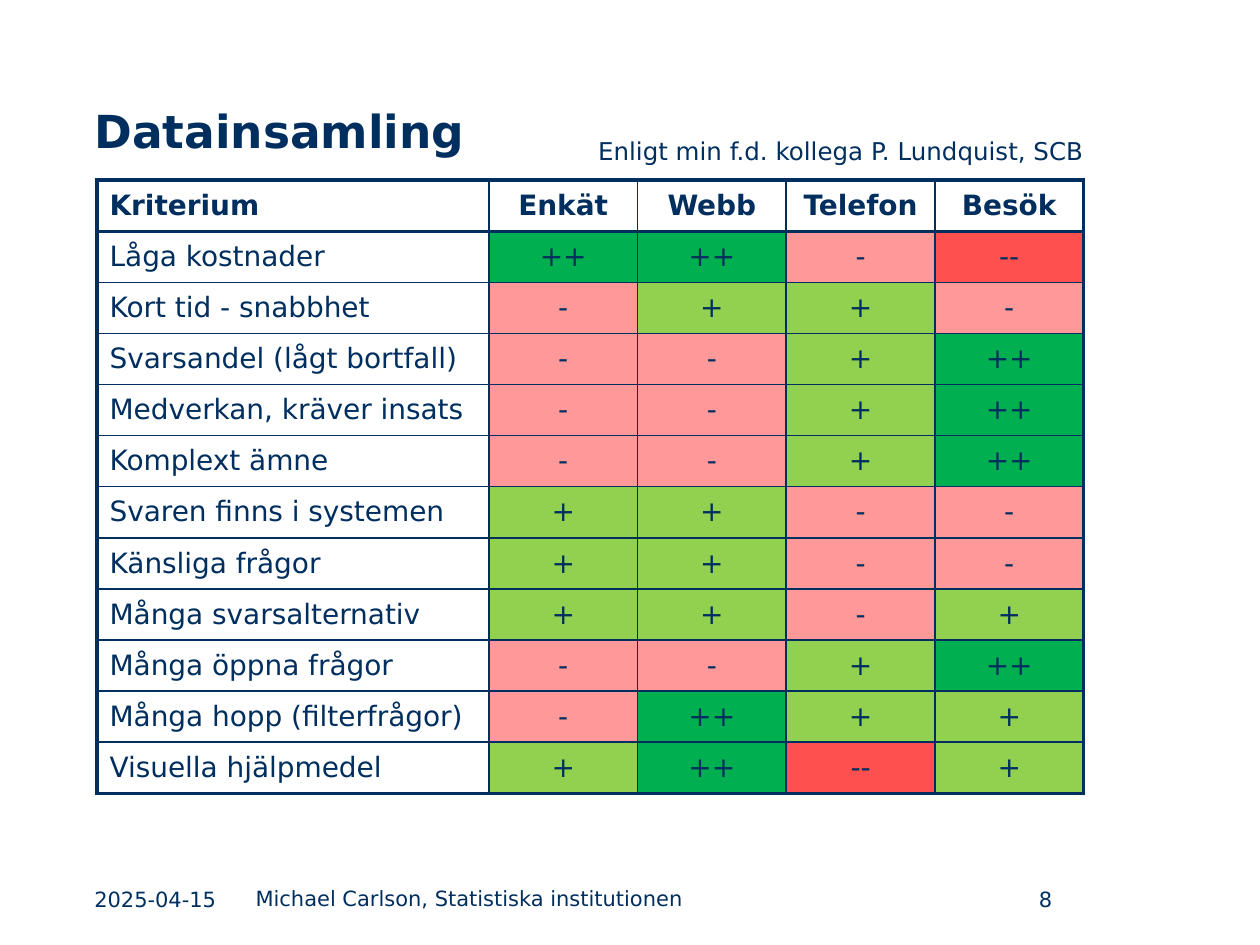
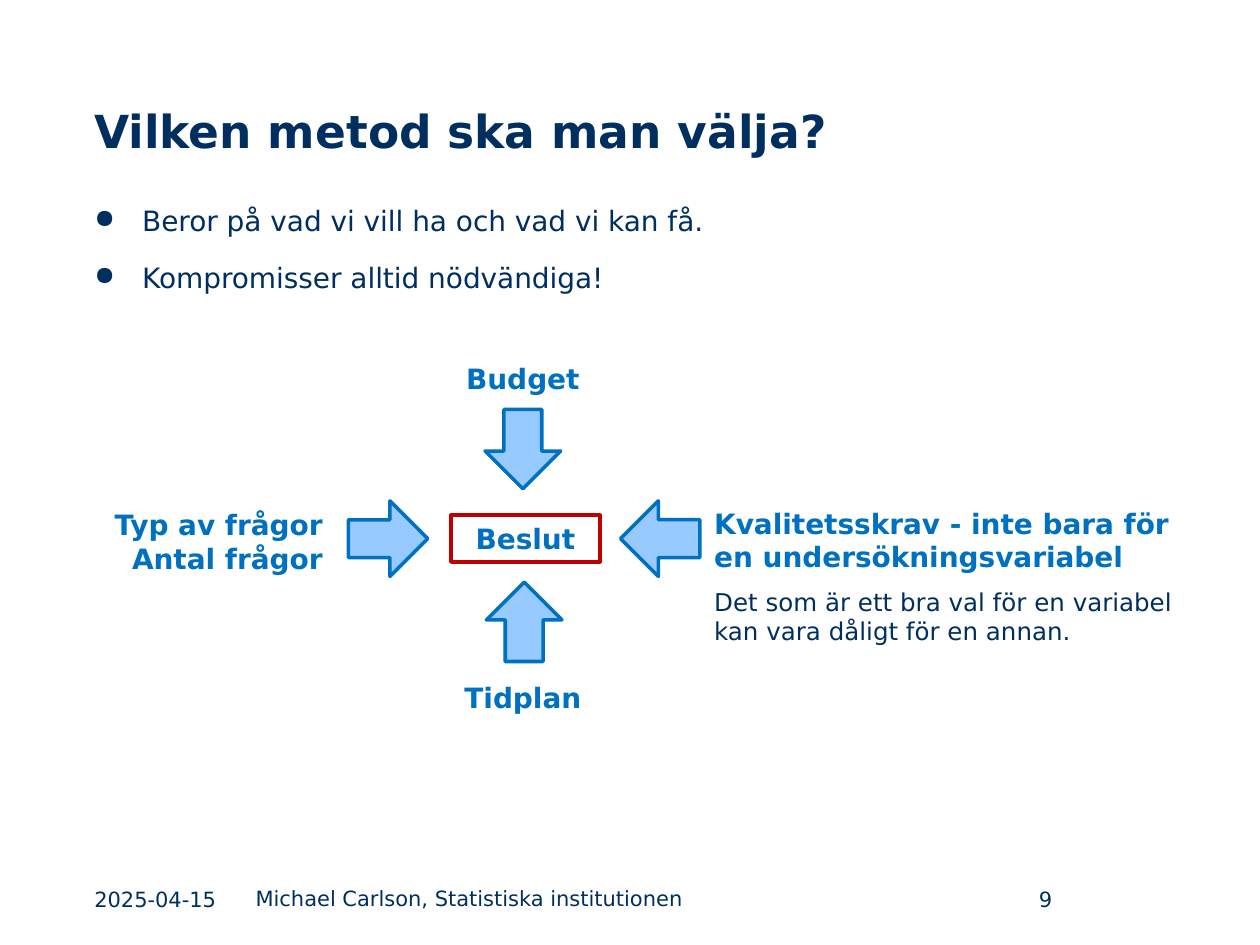
import lxml.etree
import pptx
import pptx.dml.color
import pptx.enum.shapes
import pptx.enum.text
import pptx.oxml.ns
import pptx.util

PX = 9144
COLORS = {
    "navy": "002F5F", "blue": "0070C0", "sky": "97CBFF", "red": "C00000",
    "++": "00B050", "+": "92D050", "-": "FF9999", "--": "FF5050",
}
ALIGN = pptx.enum.text.PP_ALIGN
ANCHOR = pptx.enum.text.MSO_ANCHOR
SHAPE = pptx.enum.shapes.MSO_SHAPE

HEADINGS = ["Kriterium", "Enkät", "Webb", "Telefon", "Besök"]
CRITERIA = [
    ("Låga kostnader", "++ ++ - --"),
    ("Kort tid - snabbhet", "- + + -"),
    ("Svarsandel (lågt bortfall)", "- - + ++"),
    ("Medverkan, kräver insats", "- - + ++"),
    ("Komplext ämne", "- - + ++"),
    ("Svaren finns i systemen", "+ + - -"),
    ("Känsliga frågor", "+ + - -"),
    ("Många svarsalternativ", "+ + - +"),
    ("Många öppna frågor", "- - + ++"),
    ("Många hopp (filterfrågor)", "- ++ + +"),
    ("Visuella hjälpmedel", "+ ++ -- +"),
]
ARROWS = [(385, 325, 0), (386, 462, 180), (278, 396, 270), (494, 396, 90)]


def rgb(name):
    return pptx.dml.color.RGBColor.from_string(COLORS[name])


def box(*lengths):
    return [length * PX for length in lengths]


def add_xml(parent, tag, **attributes):
    return lxml.etree.SubElement(parent, pptx.oxml.ns.qn(tag), attributes)


class Deck:
    """Builds slides in one shared style."""

    font = "DejaVu Sans"

    def __init__(self):
        self.presentation = pptx.Presentation()
        self.presentation.slide_width, self.presentation.slide_height = box(1000, 750)
        self.slide = None

    def add_slide(self, title, number):
        self.slide = self.presentation.slides.add_slide(self.presentation.slide_layouts[6])
        self.text(title, (65, 43, 869, 87), 26, bold=True, anchor=ANCHOR.BOTTOM)
        self.text("2025-04-15", (65, 698, 123, 31), 12, anchor=ANCHOR.MIDDLE)
        self.text("Michael Carlson, Statistiska institutionen", (193, 698, 491, 31), 12)
        self.text(str(number), (689, 698, 156, 31), 12, align=ALIGN.RIGHT, anchor=ANCHOR.MIDDLE)

    def format(self, text_frame, size, color="navy", bold=False, align=ALIGN.LEFT):
        for paragraph in text_frame.paragraphs:
            paragraph.alignment = align
            for run in paragraph.runs:
                run.font.name = self.font
                run.font.size = pptx.util.Pt(size)
                run.font.bold = bold
                run.font.color.rgb = rgb(color)

    def text(self, text, place, size, color="navy", bold=False, align=ALIGN.LEFT, anchor=ANCHOR.TOP):
        text_frame = self.slide.shapes.add_textbox(*box(*place)).text_frame
        text_frame.word_wrap = True
        text_frame.vertical_anchor = anchor
        text_frame.text = text
        self.format(text_frame, size, color, bold, align)
        return text_frame

    def bullets(self, lines, place):
        text_frame = self.text("\n".join(lines), place, 16)
        for paragraph in text_frame.paragraphs:
            paragraph.line_spacing = pptx.util.Pt(29)
            paragraph.space_before = pptx.util.Pt(3.5)
            properties = paragraph._p.get_or_add_pPr()
            properties.set("marL", str(38 * PX))
            properties.set("indent", str(-38 * PX))
            add_xml(properties, "a:buSzPct", val="93000")
            add_xml(properties, "a:buChar", char="●")

    def shape(self, kind, place, line, width, fill=None, rotation=0):
        shape = self.slide.shapes.add_shape(kind, *box(*place))
        shape.shadow.inherit = False
        shape.rotation = rotation
        shape.line.color.rgb = rgb(line)
        shape.line.width = pptx.util.Pt(width)
        if fill:
            shape.fill.solid()
            shape.fill.fore_color.rgb = rgb(fill)
        else:
            shape.fill.background()
        return shape

    def label_box(self, text, place):
        text_frame = self.shape(SHAPE.RECTANGLE, place, "red", 2.25).text_frame
        text_frame.text = text
        self.format(text_frame, 16, "blue", True, ALIGN.CENTER)

    def borders(self, cell, thick_sides):
        properties = cell._tc.get_or_add_tcPr()
        for index, side in enumerate("LRTB"):
            width = pptx.util.Pt(2.25 if side in thick_sides else 1)
            line = add_xml(properties, f"a:ln{side}", w=str(width))
            fill = add_xml(line, "a:solidFill")
            add_xml(fill, "a:srgbClr", val=COLORS["navy"])
            properties.insert(index, line)

    def table(self, rows, place, widths):
        last_row, last_column = len(rows) - 1, len(widths) - 1
        table = self.slide.shapes.add_table(len(rows), len(widths), *box(*place)).table
        table.first_row = table.horz_banding = False
        for column, width in zip(table.columns, widths):
            column.width = width * PX
        for row, values in enumerate(rows):
            for column, value in enumerate(values):
                cell = table.cell(row, column)
                cell.text = value
                cell.vertical_anchor = ANCHOR.MIDDLE
                self.format(cell.text_frame, 16, bold=row == 0,
                            align=ALIGN.CENTER if column else ALIGN.LEFT)
                if value in COLORS:
                    cell.fill.solid()
                    cell.fill.fore_color.rgb = rgb(value)
                else:
                    cell.fill.background()
                thick = {"L": column == 0, "R": column == last_column,
                         "T": row <= 1, "B": row in (0, last_row)}
                self.borders(cell, [side for side in thick if thick[side]])


def main():
    deck = Deck()

    deck.add_slide("Datainsamling", 8)
    rows = [HEADINGS] + [[name, *grades.split()] for name, grades in CRITERIA]
    deck.table(rows, (77, 143, 783, 487), [311] + [118] * 4)
    deck.text("Enligt min f.d. kollega P. Lundquist, SCB", (437, 103, 433, 34), 14, align=ALIGN.RIGHT)

    deck.add_slide("Vilken metod ska man välja?", 9)
    deck.bullets(["Beror på vad vi vill ha och vad vi kan få.", "Kompromisser alltid nödvändiga!"],
                 (65, 143, 869, 472))
    for text, place, align in [
        ("Budget", (335, 282, 160, 37), ALIGN.CENTER),
        ("Tidplan", (335, 535, 160, 37), ALIGN.CENTER),
        ("Typ av frågor Antal frågor", (75, 398, 191, 64), ALIGN.RIGHT),
        ("Kvalitetsskrav - inte bara för en undersökningsvariabel", (557, 397, 387, 64), ALIGN.LEFT),
    ]:
        deck.text(text, place, 16, "blue", True, align)
    for left, top, rotation in ARROWS:
        deck.shape(SHAPE.DOWN_ARROW, (left, top, 60, 63), "blue", 2, "sky", rotation)
    deck.label_box("Beslut", (358, 409, 118, 37))
    deck.text("Det som är ett bra val för en variabel kan vara dåligt för en annan.", (557, 461, 403, 57), 14)

    deck.presentation.save("out.pptx")


if __name__ == "__main__":
    main()
